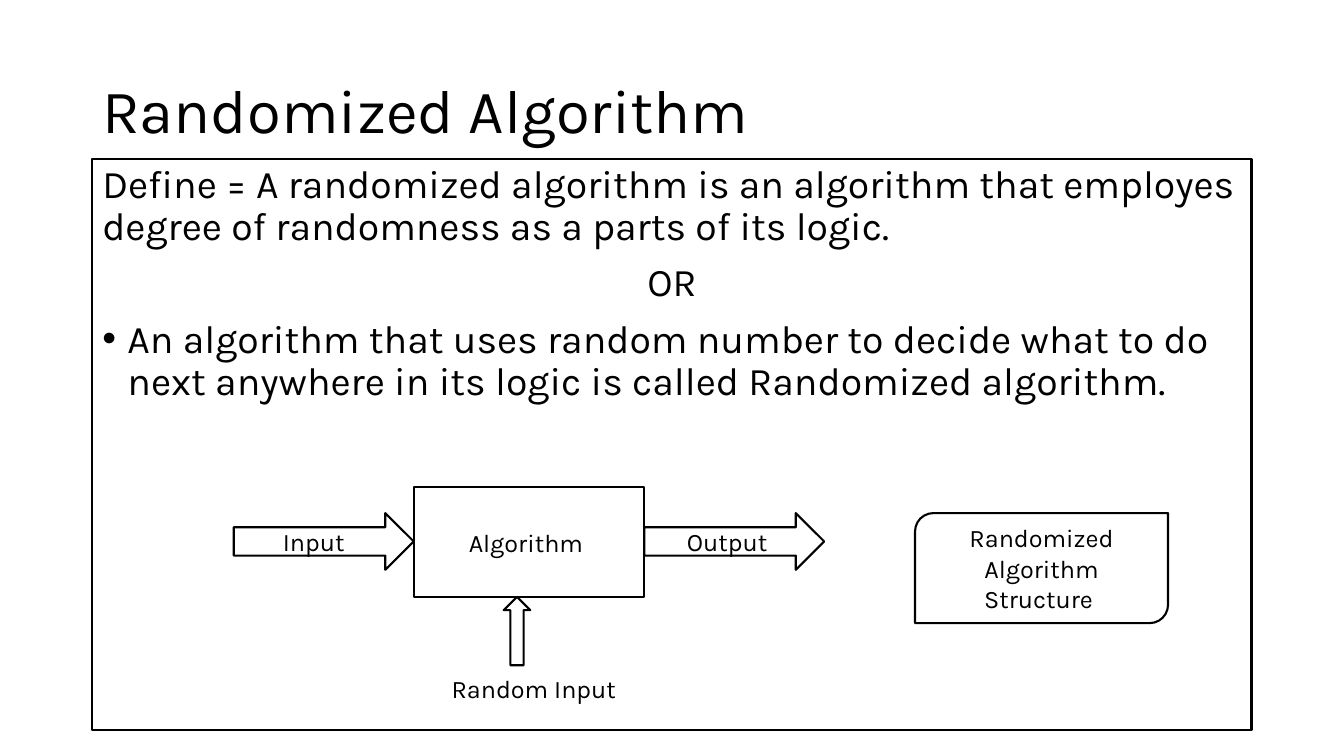
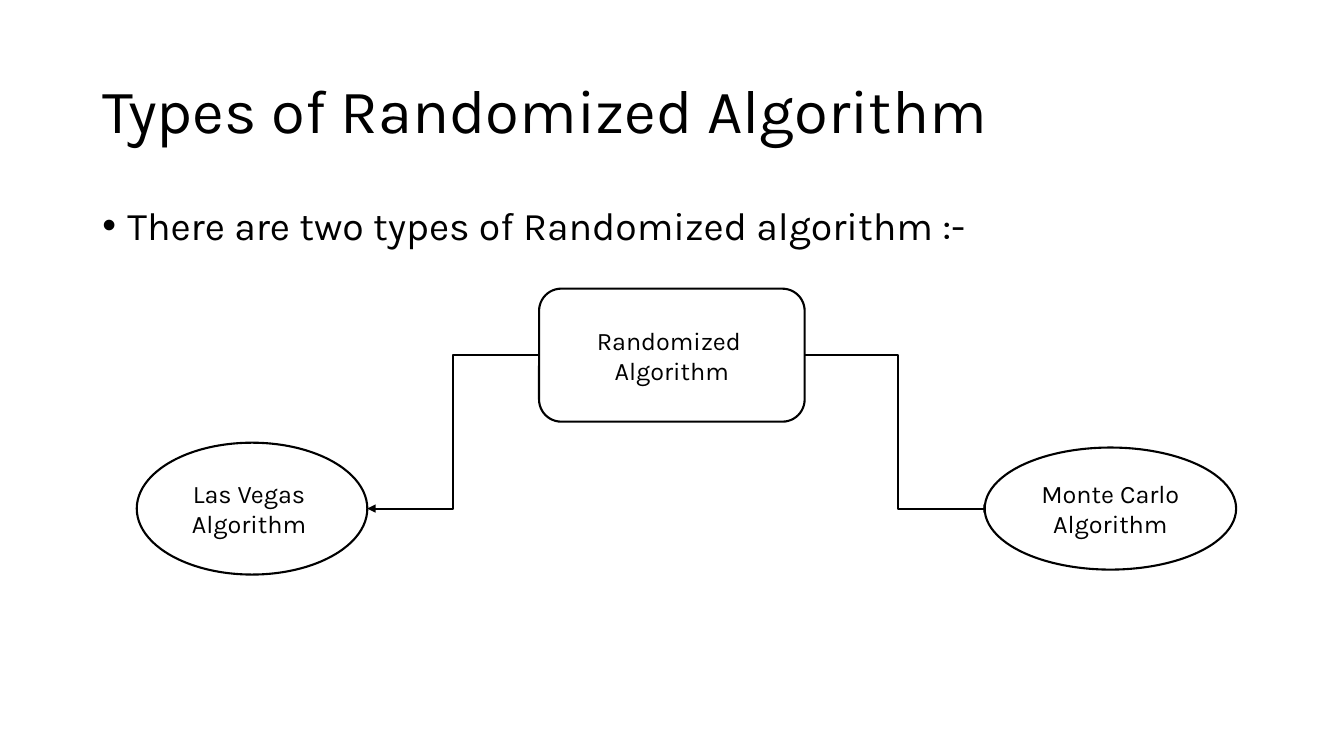
"""Build two slides on randomized algorithms: structure and types."""
from lxml.etree import SubElement
from pptx import Presentation
from pptx.dml.color import RGBColor
from pptx.enum.shapes import MSO_CONNECTOR, MSO_SHAPE as SHAPE
from pptx.enum.text import MSO_ANCHOR as ANCHOR, PP_ALIGN as ALIGN
from pptx.oxml.ns import qn
from pptx.util import Pt

FONT = "Karla"
INK = "000000"
PAPER = "FFFFFF"
LINE_WIDTH = Pt(1.5)
LEFT, WIDTH = 66, 828
BODY = dict(size=28, align=ALIGN.LEFT, anchor=ANCHOR.TOP, spacing=0.9, before=10)
color = RGBColor.from_string


def write(box, text, size=18, align=ALIGN.CENTER, anchor=ANCHOR.MIDDLE,
          spacing=1.0, before=0, bullet=False):
    frame = box.text_frame
    frame.word_wrap = True
    frame.vertical_anchor = anchor
    for line in text.split("\n"):
        para = frame.paragraphs[0] if not frame.text else frame.add_paragraph()
        para.alignment = align
        para.line_spacing = spacing
        para.space_before = Pt(before)
        span = para.add_run()
        span.text = line
        span.font.name = FONT
        span.font.size = Pt(size)
        span.font.color.rgb = color(INK)
        if bullet:
            props = para._p.get_or_add_pPr()
            props.set("marL", str(Pt(18)))
            props.set("indent", str(-Pt(18)))
            SubElement(props, qn("a:buFont"), typeface="Arial")
            SubElement(props, qn("a:buChar"), char="•")


def add_box(page, kind, left, top, width, height):
    box = page.shapes.add_shape(kind, Pt(left), Pt(top), Pt(width), Pt(height))
    box.shadow.inherit = False
    box.fill.solid()
    box.fill.fore_color.rgb = color(PAPER)
    box.line.color.rgb = color(INK)
    box.line.width = LINE_WIDTH
    return box


deck = Presentation()
deck.slide_width, deck.slide_height = Pt(960), Pt(540)
pages = []
for heading in ("Randomized Algorithm", "Types of Randomized Algorithm"):
    page = deck.slides.add_slide(deck.slide_layouts[6])
    title = page.shapes.add_textbox(Pt(LEFT), Pt(28.75), Pt(WIDTH), Pt(104.4))
    write(title, heading, size=44, align=ALIGN.LEFT, spacing=0.9)
    pages.append(page)
structure, types = pages

definition = add_box(structure, SHAPE.RECTANGLE, LEFT, 113.8, WIDTH, 407.5)
write(definition, "Define = A randomized algorithm is an algorithm that employes "
      "degree of randomness as a parts of its logic.", **BODY)
write(definition, "OR", **{**BODY, "align": ALIGN.CENTER})
write(definition, "An algorithm that uses random number to decide what to do next "
      "anywhere in its logic is called Randomized algorithm.", bullet=True, **BODY)

for kind, text, left, top, width, height in (
    (SHAPE.RIGHT_ARROW, "Input ", 167, 366.5, 128.5, 40.5),
    (SHAPE.RECTANGLE, "Algorithm ", 295.5, 347.8, 164.7, 78.6),
    (SHAPE.RIGHT_ARROW, "Output", 460.2, 366.5, 128.5, 40.5),
    (SHAPE.ROUND_2_DIAG_RECTANGLE, "Randomized Algorithm Structure ",
     653.6, 366.5, 180.7, 78.6),
):
    write(add_box(structure, kind, left, top, width, height), text)
add_box(structure, SHAPE.UP_ARROW, 359.8, 426.4, 19, 48.8)
random_input = structure.shapes.add_textbox(Pt(315.5), Pt(477.5), Pt(164.7), Pt(29))
write(random_input, "Random Input", align=ALIGN.LEFT, anchor=ANCHOR.TOP)

intro = types.shapes.add_textbox(Pt(LEFT), Pt(143.75), Pt(WIDTH), Pt(342.6))
write(intro, "There are two types of Randomized algorithm :-", bullet=True, **BODY)
root = add_box(types, SHAPE.ROUNDED_RECTANGLE, 385.1, 206.2, 189.7, 95)
write(root, "Randomized \nAlgorithm")

for text, left, top, width, height, side, start, end in (
    ("Monte Carlo\nAlgorithm", 703.4, 319.7, 179.6, 87.2, 3, 574.8, 708.3),
    ("Las Vegas \nAlgorithm ", 97.7, 316.2, 164.7, 94.2, 1, 385.1, 262.4),
):
    link = types.shapes.add_connector(
        MSO_CONNECTOR.ELBOW, Pt(start), Pt(253.7), Pt(end), Pt(363.3))
    link.begin_connect(root, side)
    link.line.color.rgb = color(INK)
    link.line.width = LINE_WIDTH
    SubElement(link.line._get_or_add_ln(), qn("a:tailEnd"), type="triangle")
    SubElement(link._element.spPr, qn("a:effectLst"))
    write(add_box(types, SHAPE.OVAL, left, top, width, height), text)

deck.save("out.pptx")
